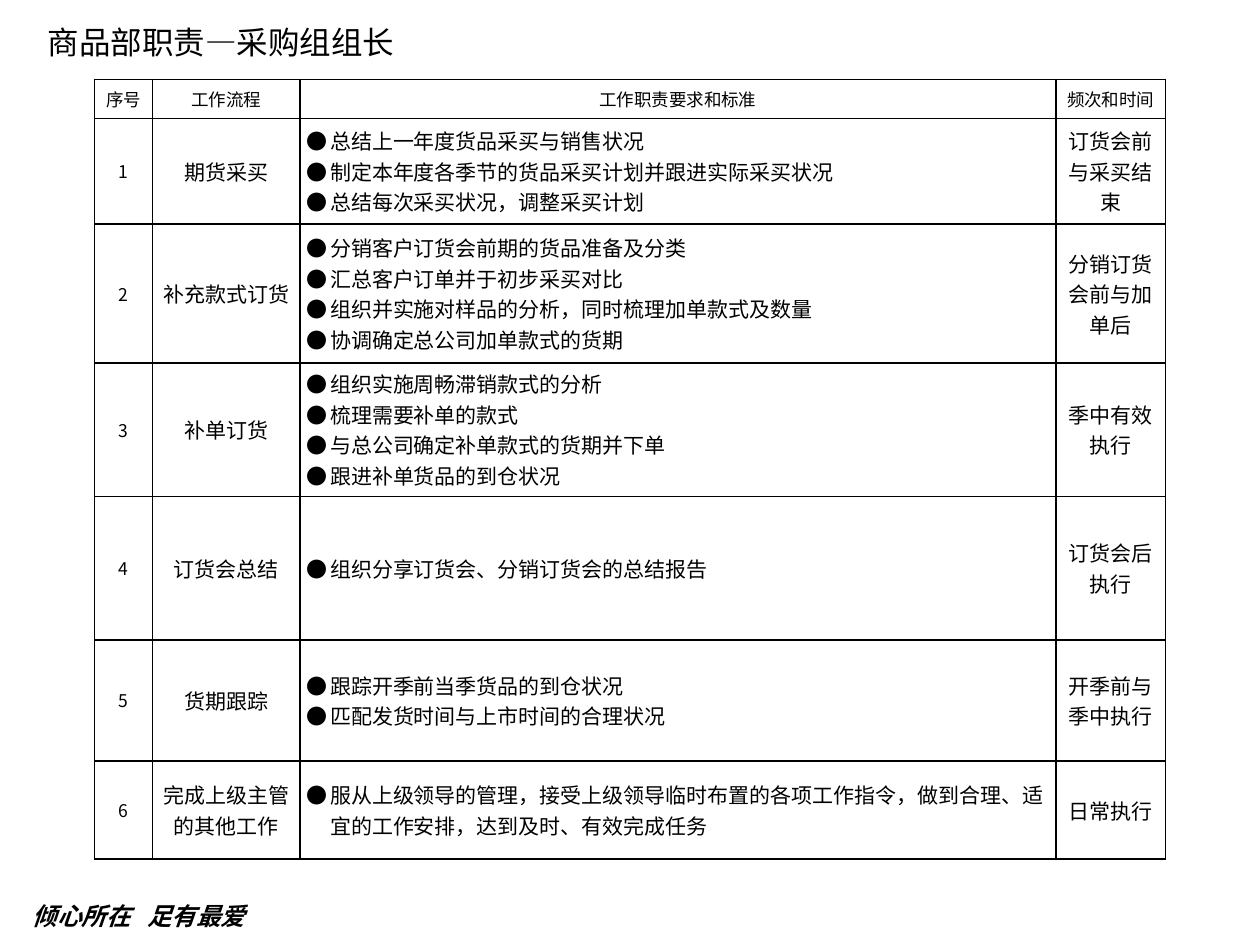
from lxml import etree
from pptx import Presentation
from pptx.dml.color import RGBColor
from pptx.enum import text
from pptx.oxml import ns
from pptx import util as u

HEAD = ["序号", "工作流程", "工作职责要求和标准", "频次和时间"]
JOBS = [
    ("期货采买",
     ["总结上一年度货品采买与销售状况",
      "制定本年度各季节的货品采买计划并跟进实际采买状况",
      "总结每次采买状况，调整采买计划"],
     "订货会前与采买结束"),
    ("补充款式订货",
     ["分销客户订货会前期的货品准备及分类",
      "汇总客户订单并于初步采买对比",
      "组织并实施对样品的分析，同时梳理加单款式及数量",
      "协调确定总公司加单款式的货期"],
     "分销订货会前与加单后"),
    ("补单订货",
     ["组织实施周畅滞销款式的分析",
      "梳理需要补单的款式",
      "与总公司确定补单款式的货期并下单",
      "跟进补单货品的到仓状况"],
     "季中有效执行"),
    ("订货会总结",
     ["组织分享订货会、分销订货会的总结报告"],
     "订货会后执行"),
    ("货期跟踪",
     ["跟踪开季前当季货品的到仓状况",
      "匹配发货时间与上市时间的合理状况"],
     "开季前与季中执行"),
    ("完成上级主管的其他工作",
     ["服从上级领导的管理，接受上级领导临时布置的各项工作指令，"
      "做到合理、适宜的工作安排，达到及时、有效完成任务"],
     "日常执行"),
]
COLS = [4.6, 11.7, 60, 8.7]
ROWS = [4.13, 11.2, 14.67, 14.13, 15.2, 12.8, 10.4]
LATIN = {"季中有效执行": "Calibri"}


def color(code):
    return RGBColor.from_string(code)


def node(parent, tag, **attrs):
    return etree.SubElement(parent, ns.qn(tag), attrs)


class Deck:
    font = "Noto Sans CJK SC"
    ink = "000000"
    inset = dict(margin_left=u.Inches(0.05), margin_right=u.Inches(0.05),
                 margin_top=0, margin_bottom=0,
                 vertical_anchor=text.MSO_ANCHOR.MIDDLE)

    def __init__(self):
        self.prs = Presentation()
        self.prs.slide_width = u.Inches(10)
        self.prs.slide_height = u.Inches(7.5)
        self.slide = self.prs.slides.add_slide(self.prs.slide_layouts[6])

    def x(self, share):
        return round(self.prs.slide_width * share / 100)

    def y(self, share):
        return round(self.prs.slide_height * share / 100)

    def words(self, para, line, **style):
        run = para.add_run()
        run.text = line
        style = {"name": LATIN.get(line, self.font), **style}
        for key, value in style.items():
            setattr(run.font, key, value)
        run.font.color.rgb = color(self.ink)
        node(run._r.get_or_add_rPr(), "a:ea", typeface=self.font)

    def label(self, line, left, top, width, height, tab=None, **style):
        box = self.slide.shapes.add_textbox(
            self.x(left), self.y(top), self.x(width), self.y(height))
        box.text_frame.word_wrap = True
        para = box.text_frame.paragraphs[0]
        if tab:
            tabs = node(para._p.get_or_add_pPr(), "a:tabLst")
            node(tabs, "a:tab", pos=str(self.x(tab)), algn="l")
        self.words(para, line, **style)

    def bullet(self, para):
        props = para._p.get_or_add_pPr()
        hang = u.Inches(0.19)
        props.set("marL", str(hang))
        props.set("indent", str(-hang))
        node(props, "a:buFont", typeface=self.font)
        node(props, "a:buChar", char="●")

    def border(self, cell):
        props = cell._tc.get_or_add_tcPr()
        for i, side in enumerate("LRTB"):
            line = etree.Element(ns.qn("a:ln" + side), w=str(u.Pt(1)))
            fill = node(line, "a:solidFill")
            node(fill, "a:srgbClr", val=self.ink)
            props.insert(i, line)

    def cell(self, cell, entry, size):
        for key, value in self.inset.items():
            setattr(cell, key, value)
        cell.fill.background()
        self.border(cell)
        listed = isinstance(entry, list)
        frame = cell.text_frame
        for i, line in enumerate(entry if listed else [entry]):
            para = frame.add_paragraph() if i else frame.paragraphs[0]
            if listed:
                self.bullet(para)
            else:
                para.alignment = text.PP_ALIGN.CENTER
            self.words(para, line, size=u.Pt(size))

    def table(self, left, top, cols, rows, data):
        grid = self.slide.shapes.add_table(
            len(rows), len(cols), self.x(left), self.y(top),
            self.x(sum(cols)), self.y(sum(rows))).table
        grid.first_row = grid.horz_banding = False
        for col, share in zip(grid.columns, cols):
            col.width = self.x(share)
        for row, share in zip(grid.rows, rows):
            row.height = self.y(share)
        for r, line in enumerate(data):
            for c, entry in enumerate(line):
                self.cell(grid.cell(r, c), entry, 12 if r and c else 10)


def main():
    deck = Deck()
    deck.label("倾心所在\t足有最爱", 1.6, 94.67, 24.7, 4.27, tab=9.1,
               size=u.Pt(14), bold=True, italic=True)
    deck.label("商品部职责—采购组组长", 2.8, 1.73, 38.6, 5.33, size=u.Pt(18))
    body = [(str(i), *job) for i, job in enumerate(JOBS, 1)]
    deck.table(7.5, 8.4, COLS, ROWS, [HEAD, *body])
    deck.prs.save("out.pptx")


if __name__ == "__main__":
    main()
